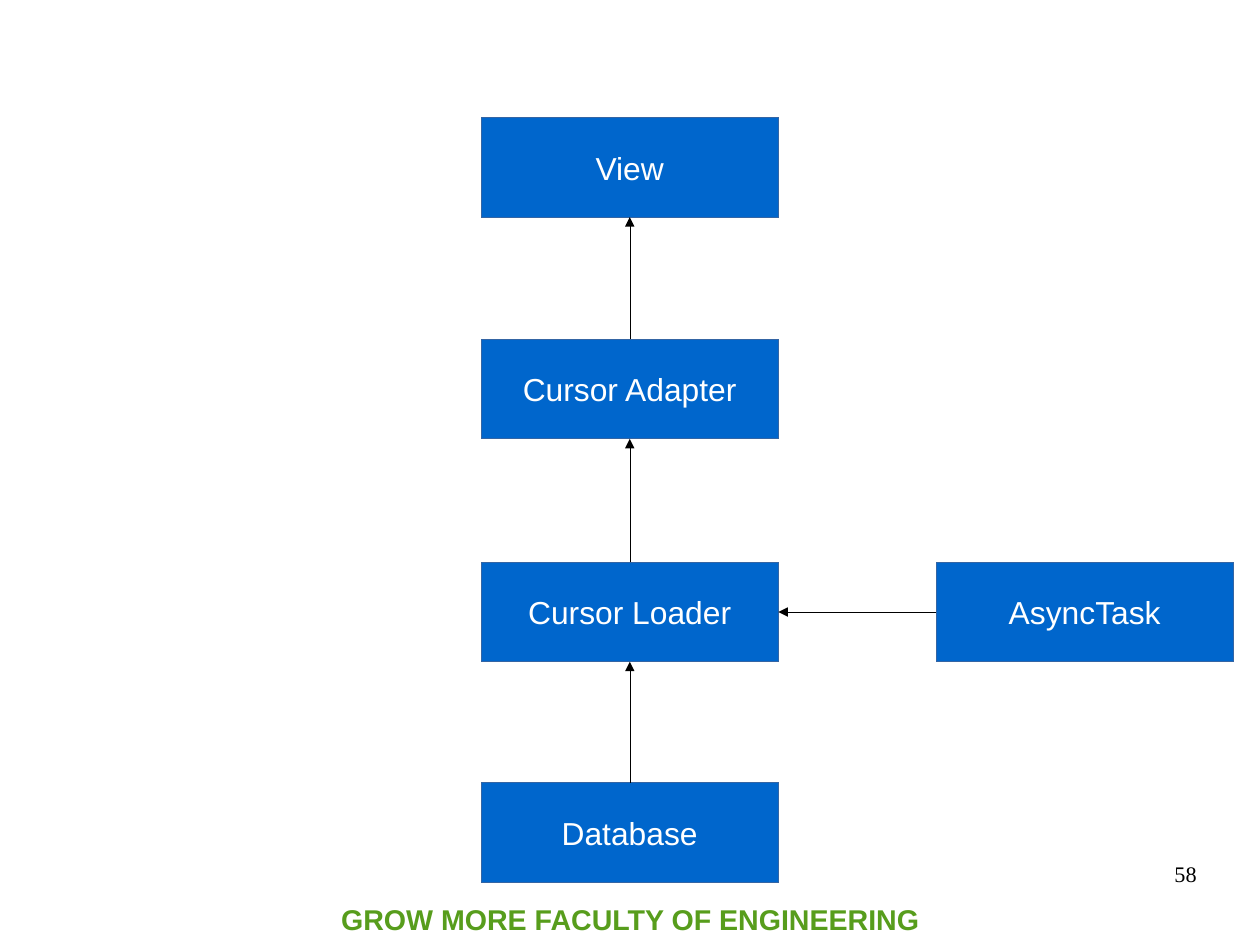
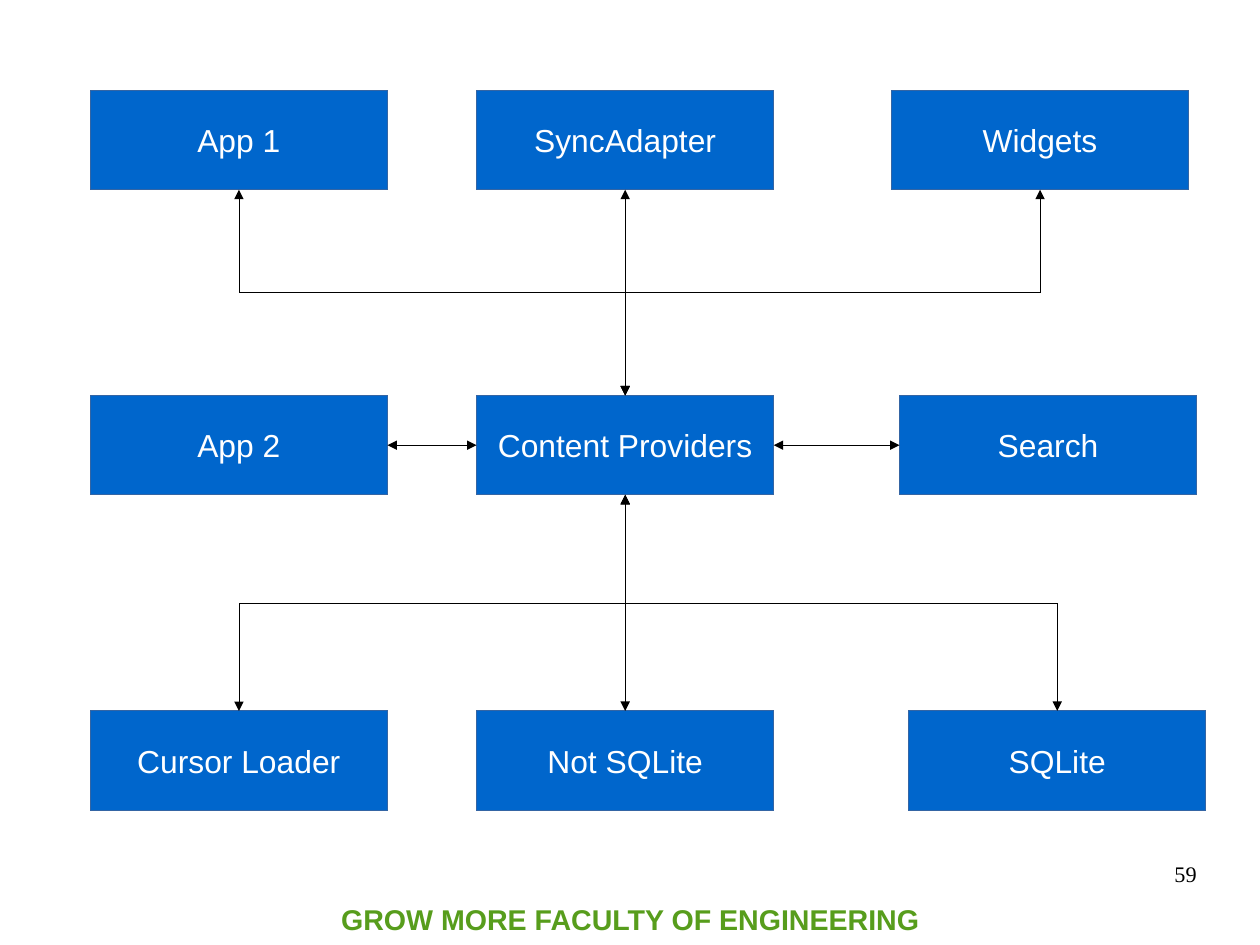
from dataclasses import dataclass
from typing import NamedTuple

from lxml import etree
from pptx import Presentation
from pptx import util as u
from pptx.dml.color import RGBColor
from pptx.enum import shapes, text
from pptx.oxml import ns
from pptx.util import Inches

TOP, LEFT, BOTTOM, RIGHT = range(4)


@dataclass(frozen=True)
class Theme:
    box_fill: RGBColor = RGBColor(0x00, 0x66, 0xCC)
    box_line: RGBColor = RGBColor(0x34, 0x65, 0xA4)
    box_text: RGBColor = RGBColor(0xFF, 0xFF, 0xFF)
    ink: RGBColor = RGBColor(0x00, 0x00, 0x00)
    footer: RGBColor = RGBColor(0x57, 0x9D, 0x1C)
    sans: str = "Arial"
    serif: str = "Times New Roman"
    box_size: int = 20
    footer_size: int = 18
    number_size: int = 14
    box_width: float = 2.6
    box_height: float = 0.87


THEME = Theme()


class Node(NamedTuple):
    label: str
    left: float
    top: float


class Link(NamedTuple):
    source: str
    source_side: int
    target: str
    target_side: int


class Diagram(NamedTuple):
    number: int
    nodes: list[Node]
    links: list[Link]
    two_way: bool


STACK_LEFT = 4.21
LOADER_TOP = 4.92
STACK = [("View", 1.03), ("Cursor Adapter", 2.97),
         ("Cursor Loader", LOADER_TOP), ("Database", 6.85)]

LOADING = Diagram(
    number=58,
    nodes=[Node(label, STACK_LEFT, top) for label, top in STACK]
    + [Node("AsyncTask", 8.19, LOADER_TOP)],
    links=[Link(lower, TOP, upper, BOTTOM)
           for (upper, _), (lower, _) in zip(STACK, STACK[1:])]
    + [Link("AsyncTask", LEFT, "Cursor Loader", RIGHT)],
    two_way=False,
)

# Each row: top, left of its last box, labels
FIRST_LEFT, MIDDLE_LEFT = 0.79, 4.17
ROWS = [
    (0.79, 7.8, ["App 1", "SyncAdapter", "Widgets"]),
    (3.46, 7.87, ["App 2", "Content Providers", "Search"]),
    (6.22, 7.95, ["Cursor Loader", "Not SQLite", "SQLite"]),
]
HUB = "Content Providers"

PROVIDERS = Diagram(
    number=59,
    nodes=[Node(label, left, top)
           for top, last_left, labels in ROWS
           for label, left in zip(labels, (FIRST_LEFT, MIDDLE_LEFT, last_left))],
    links=[Link(label, BOTTOM, HUB, TOP) for label in ROWS[0][2]]
    + [Link("App 2", RIGHT, HUB, LEFT), Link("Search", LEFT, HUB, RIGHT)]
    + [Link(label, TOP, HUB, BOTTOM) for label in ROWS[2][2]],
    two_way=True,
)


def add_run(paragraph, words: str, font_name: str, size: int,
            colour: RGBColor, bold: bool = False) -> None:
    run = paragraph.add_run()
    run.text = words
    run.font.name = font_name
    run.font.size = u.Pt(size)
    run.font.color.rgb = colour
    run.font.bold = bold


def draw_hairline(shape, colour: RGBColor):
    """Give the shape the thinnest line and return its line element."""
    shape.line.color.rgb = colour
    outline = shape.element.spPr.find(ns.qn("a:ln"))
    outline.set("w", "0")
    return outline


def add_footer(slide) -> None:
    """Build the footer and move it to the layout that the slides share."""
    layout = slide.slide_layout
    for placeholder in list(layout.placeholders):
        layout.shapes.element.remove(placeholder.element)
    footer = slide.shapes.add_textbox(
        Inches(2.39), Inches(7.83), Inches(6.25), Inches(0.43))
    frame = footer.text_frame
    frame.word_wrap = True
    frame.vertical_anchor = text.MSO_ANCHOR.MIDDLE
    paragraph = frame.paragraphs[0]
    paragraph.alignment = text.PP_ALIGN.CENTER
    add_run(paragraph, "GROW MORE FACULTY OF ENGINEERING", THEME.sans,
            THEME.footer_size, THEME.footer, bold=True)
    layout.shapes.element.append(footer.element)


def add_page_number(slide, number: int) -> None:
    frame = slide.shapes.add_textbox(
        Inches(7.9), Inches(7.53), Inches(2.57), Inches(0.57)).text_frame
    frame.word_wrap = True
    frame.margin_left = frame.margin_right = 0
    frame.margin_top = frame.margin_bottom = 0
    paragraph = frame.paragraphs[0]
    paragraph.alignment = text.PP_ALIGN.RIGHT
    add_run(paragraph, str(number), THEME.serif, THEME.number_size, THEME.ink)


def add_node(slide, node: Node):
    box = slide.shapes.add_shape(
        shapes.MSO_SHAPE.RECTANGLE, Inches(node.left), Inches(node.top),
        Inches(THEME.box_width), Inches(THEME.box_height))
    box.shadow.inherit = False
    box.fill.solid()
    box.fill.fore_color.rgb = THEME.box_fill
    draw_hairline(box, THEME.box_line)
    frame = box.text_frame
    frame.word_wrap = False
    frame.vertical_anchor = text.MSO_ANCHOR.MIDDLE
    paragraph = frame.paragraphs[0]
    paragraph.alignment = text.PP_ALIGN.CENTER
    add_run(paragraph, node.label, THEME.sans, THEME.box_size, THEME.box_text)
    return box


def turn_upright(connector) -> None:
    """Turn an elbow a quarter so that it leaves and arrives vertically."""
    down = connector.end_y > connector.begin_y
    leftward = connector.end_x < connector.begin_x
    centre_x = (connector.begin_x + connector.end_x) // 2
    centre_y = (connector.begin_y + connector.end_y) // 2
    connector.width, connector.height = connector.height, connector.width
    connector.left = centre_x - connector.width // 2
    connector.top = centre_y - connector.height // 2
    frame = connector.element.spPr.get_or_add_xfrm()
    frame.rot, frame.flipH, frame.flipV = 270.0, down, leftward


def add_link(slide, boxes: dict, link: Link, two_way: bool) -> None:
    source, target = boxes[link.source], boxes[link.target]
    vertical = link.source_side in (TOP, BOTTOM)
    bent = vertical and source.left != target.left
    kind = shapes.MSO_CONNECTOR.ELBOW if bent else shapes.MSO_CONNECTOR.STRAIGHT
    connector = slide.shapes.add_connector(kind, 0, 0, 0, 0)
    connector.begin_connect(source, link.source_side)
    connector.end_connect(target, link.target_side)
    if bent:
        turn_upright(connector)
    outline = draw_hairline(connector, THEME.ink)
    for end in ("a:headEnd", "a:tailEnd") if two_way else ("a:tailEnd",):
        etree.SubElement(outline, ns.qn(end), type="triangle")
    etree.SubElement(connector.element.spPr, ns.qn("a:effectLst"))


def add_diagram(slide, diagram: Diagram) -> None:
    boxes = {node.label: add_node(slide, node) for node in diagram.nodes}
    for link in diagram.links:
        add_link(slide, boxes, link, diagram.two_way)
    add_page_number(slide, diagram.number)


def main() -> None:
    deck = Presentation()
    deck.slide_width, deck.slide_height = u.Cm(28), u.Cm(21)
    deck.element.sldSz.attrib.pop("type", None)
    blank = deck.slide_layouts.get_by_name("Blank")
    slides = [deck.slides.add_slide(blank) for _ in range(2)]
    add_footer(slides[0])
    for slide, diagram in zip(slides, (LOADING, PROVIDERS)):
        add_diagram(slide, diagram)
    deck.save("out.pptx")


if __name__ == "__main__":
    main()
